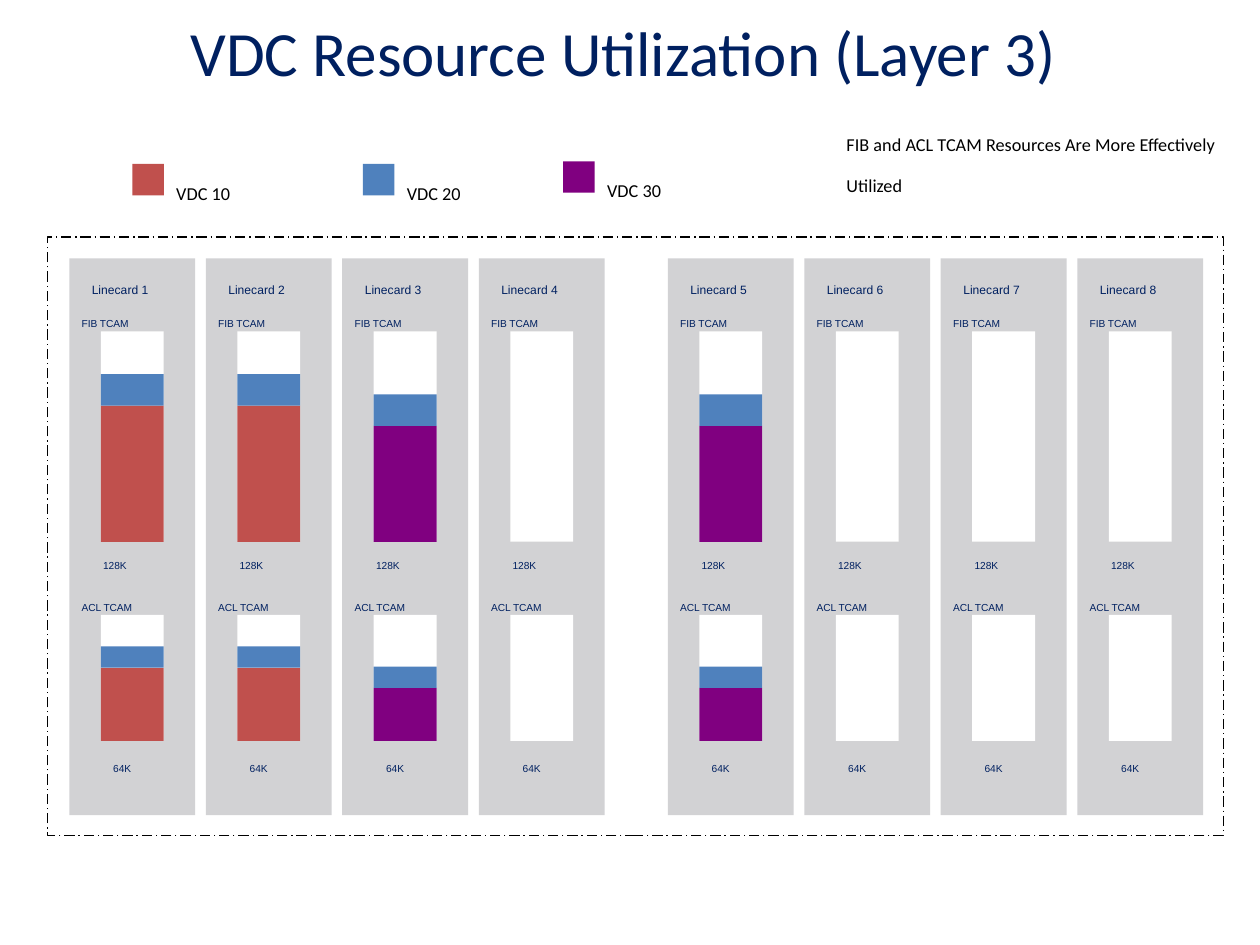
from pptx import Presentation
from pptx.dml.color import RGBColor
from pptx.enum.dml import MSO_LINE
from pptx.enum.shapes import MSO_SHAPE
from pptx.enum.text import MSO_ANCHOR, MSO_AUTO_SIZE, PP_ALIGN
from pptx.util import Inches, Pt

RECTANGLE = MSO_SHAPE.RECTANGLE
DASH_DOT = MSO_LINE.LONG_DASH_DOT
MIDDLE = MSO_ANCHOR.MIDDLE
GROW = MSO_AUTO_SIZE.SHAPE_TO_FIT_TEXT
CENTER = PP_ALIGN.CENTER

COLORS = {
    "navy": "002060",
    "black": "000000",
    "card": "D2D2D4",
    "free": "FFFFFF",
    "VDC 10": "C0504D",
    "VDC 20": "4F81BD",
    "VDC 30": "800080",
}
CARD_FORMAT = {"name": "Arial", "size": Pt(10), "color": "navy"}
HEADING_FORMAT = {**CARD_FORMAT, "size": Pt(12)}
NOTE_FORMAT = {"name": "Calibri", "size": Pt(18), "color": "black"}
TITLE_FORMAT = {"name": "Calibri", "size": Pt(36), "color": "navy"}

CARD_LEFT, CARD_TOP, CARD_HEIGHT = 0.55, 2.05, 4.42
CARD_PITCH = 13 / 12
CHASSIS_GAP = 5 / 12
CARDS_PER_SIDE = 4
BAR_INSET, BAR_WIDTH = 0.25, 0.5

# Main VDC on each linecard; VDC 20 is stacked on top of it
MAIN_VDC = ["VDC 10", "VDC 10", "VDC 30", None, "VDC 30", None, None, None]
TCAMS = [
    {"name": "FIB TCAM", "capacity": "128K", "top": 2.63, "height": 1.67,
     "capacity_inset": 0.17, "capacity_width": 0.67, "capacity_top": 4.3,
     "used": {"VDC 10": 1.08, "VDC 20": 0.25, "VDC 30": 0.92}},
    {"name": "ACL TCAM", "capacity": "64K", "top": 4.88, "height": 1,
     "capacity_inset": 0.25, "capacity_width": 0.5, "capacity_top": 5.91,
     "used": {"VDC 10": 0.58, "VDC 20": 0.17, "VDC 30": 0.42}},
]
LEGEND = [("VDC 10", 1.05, 1.3), ("VDC 20", 2.88, 1.3), ("VDC 30", 4.47, 1.28)]

prs = Presentation()
prs.slide_width, prs.slide_height = Inches(10), Inches(7.5)
slide = prs.slides.add_slide(prs.slide_layouts[5])


def add_block(left, top, width, height, color=None):
    block = slide.shapes.add_shape(
        RECTANGLE, Inches(left), Inches(top), Inches(width), Inches(height))
    block.shadow.inherit = False
    block.line.fill.background()
    if color:
        block.fill.solid()
        block.fill.fore_color.rgb = RGBColor.from_string(COLORS[color])
    else:
        block.fill.background()
    return block


def write(frame, text, style, subscript=True):
    """Put one formatted run in the frame; labels are set as subscript."""
    run = frame.paragraphs[0].add_run()
    run.text = text
    for key, value in style.items():
        if key == "color":
            run.font.color.rgb = RGBColor.from_string(COLORS[value])
        else:
            setattr(run.font, key, value)
    if subscript:
        run._r.get_or_add_rPr().set("baseline", "-25000")


title = slide.shapes.title
title.left, title.top = Inches(0.25), Inches(0.05)
title.width, title.height = Inches(9.39), Inches(0.71)
title.text_frame.vertical_anchor = MIDDLE
title.text_frame.paragraphs[0].alignment = CENTER
write(title.text_frame, "VDC Resource Utilization (Layer 3)", TITLE_FORMAT, subscript=False)

chassis = add_block(0.38, 1.88, 9.33, 4.75)
chassis.line.color.rgb = RGBColor.from_string(COLORS["black"])
chassis.line.width = Pt(0.75)
chassis.line.dash_style = DASH_DOT

# Each label: text, left, top, width, height, wrap, format
labels = []
for index, main_vdc in enumerate(MAIN_VDC):
    card_left = CARD_LEFT + index * CARD_PITCH + index // CARDS_PER_SIDE * CHASSIS_GAP
    bar_left = card_left + BAR_INSET
    add_block(card_left, CARD_TOP, 1, CARD_HEIGHT, "card")
    labels.append((f"Linecard {index + 1}", card_left + 0.08, 2.08, 0.98, 0.3,
                   False, HEADING_FORMAT))

    for tcam in TCAMS:
        add_block(bar_left, tcam["top"], BAR_WIDTH, tcam["height"], "free")
        level = tcam["top"] + tcam["height"]
        for vdc in (main_vdc, "VDC 20") if main_vdc else ():
            level -= tcam["used"][vdc]
            add_block(bar_left, level, BAR_WIDTH, tcam["used"][vdc], vdc)
        labels.append((tcam["name"], card_left, tcam["top"] - 0.25, 1, 0.27,
                       True, CARD_FORMAT))
        labels.append((tcam["capacity"], card_left + tcam["capacity_inset"],
                       tcam["capacity_top"], tcam["capacity_width"], 0.27,
                       True, CARD_FORMAT))

for vdc, left, top in LEGEND:
    add_block(left, top, 0.25, 0.25, vdc)
    labels.append((vdc, left + 0.25, top - 0.07, 0.95, 0.4, False, NOTE_FORMAT))

labels.append(("FIB and ACL TCAM Resources Are More Effectively Utilized",
               6.62, 0.84, 3.27, 0.68, True, NOTE_FORMAT))

for text, left, top, width, height, wrap, style in labels:
    label = slide.shapes.add_textbox(
        Inches(left), Inches(top), Inches(width), Inches(height)).text_frame
    label.word_wrap = wrap
    label.auto_size = GROW
    write(label, text, style)
    if wrap and style is NOTE_FORMAT:
        label.paragraphs[0].line_spacing = 0.95

prs.save("out.pptx")
